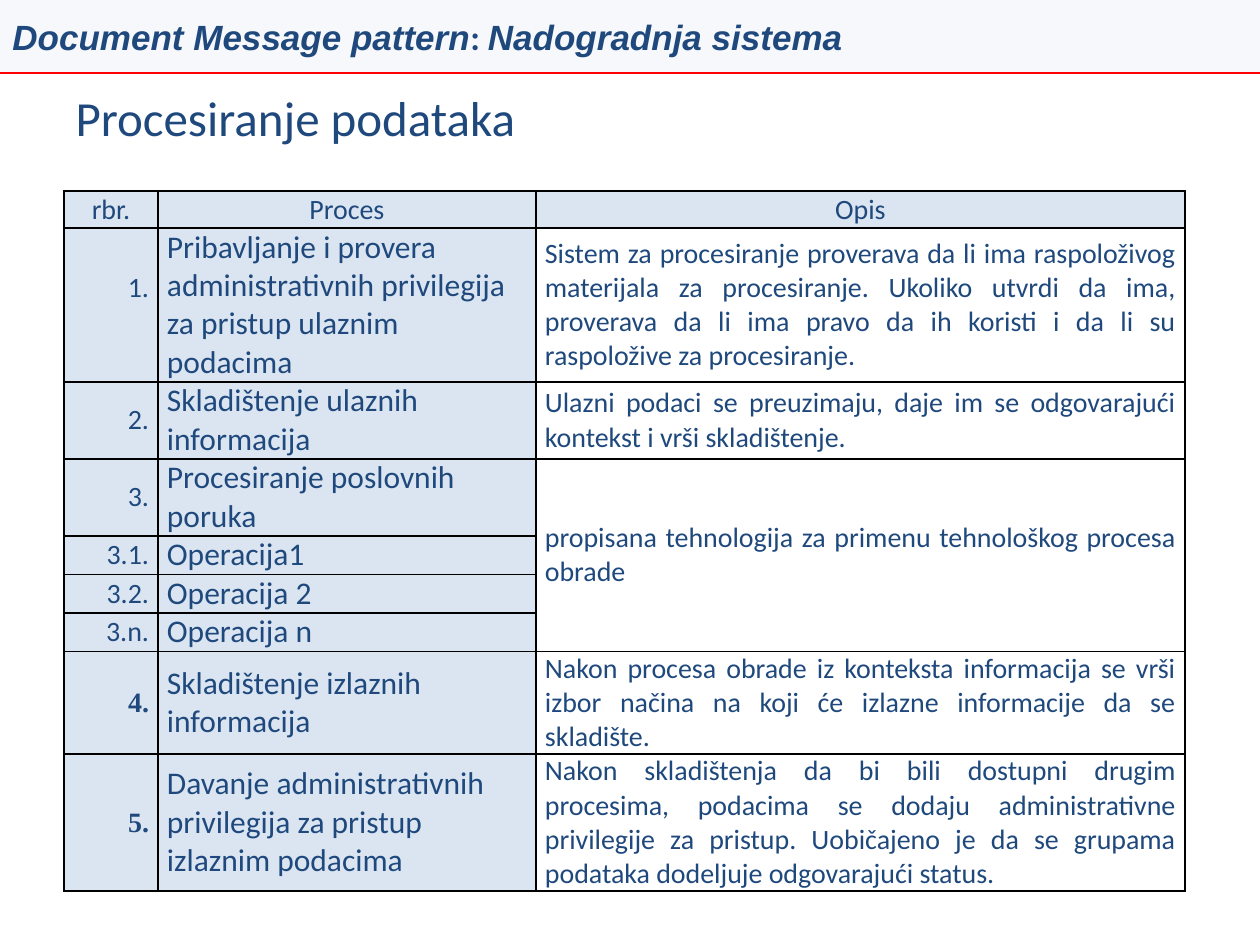
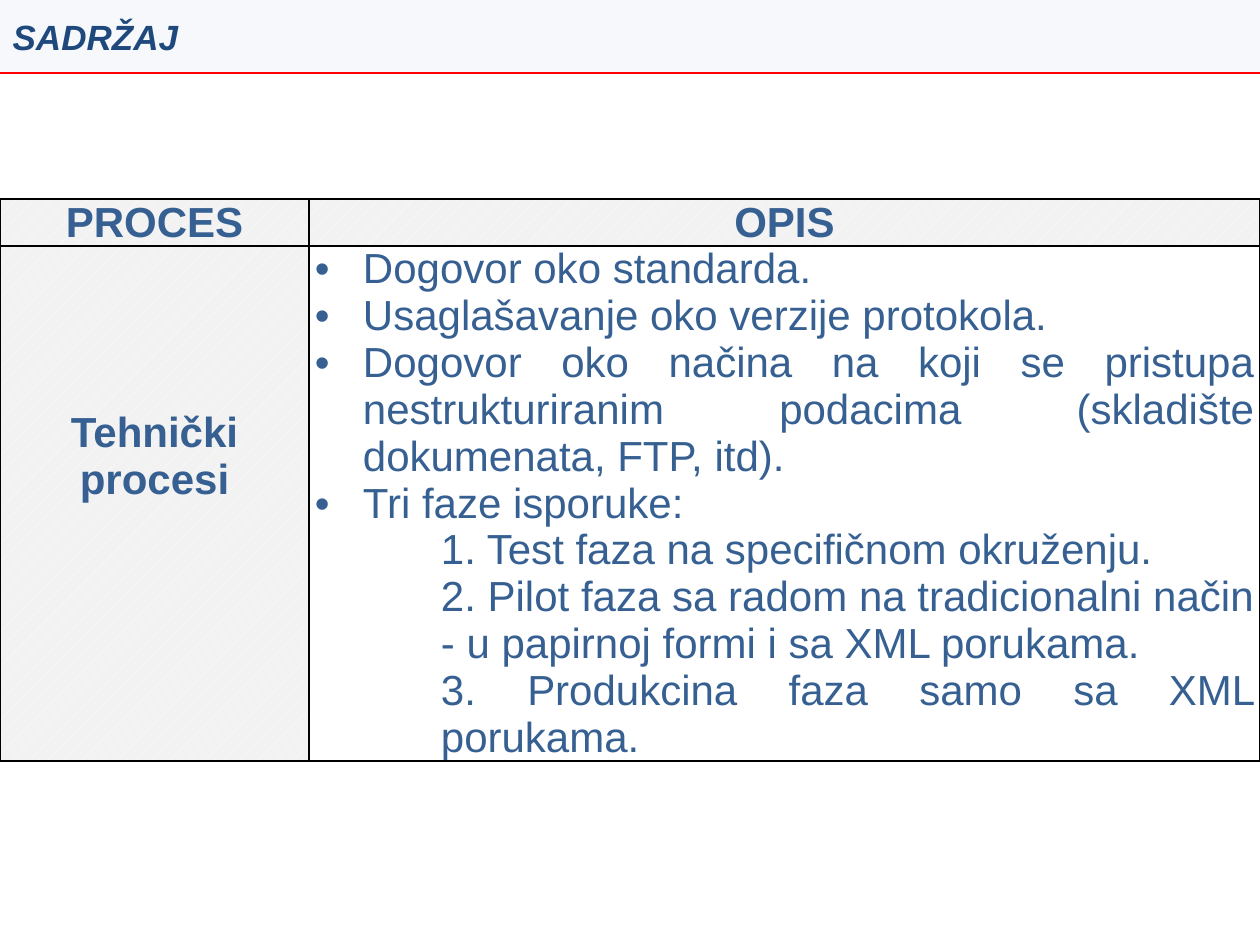
from lxml import etree
from pptx import Presentation
from pptx.dml.color import RGBColor
from pptx.enum.dml import MSO_PATTERN_TYPE
from pptx.enum.shapes import MSO_CONNECTOR, MSO_SHAPE
from pptx.enum.text import MSO_ANCHOR, MSO_AUTO_SIZE, PP_ALIGN
from pptx.oxml.ns import qn
from pptx.util import Emu, Pt

EMU_PER_PX = 914400 / 126
PAGE_WIDTH, PAGE_HEIGHT = 1260, 945
BAND_HEIGHT = 73
TITLE_ONLY = 5

LEFT, CENTER, RIGHT, JUSTIFY = PP_ALIGN.LEFT, PP_ALIGN.CENTER, PP_ALIGN.RIGHT, PP_ALIGN.JUSTIFY
TOP, MIDDLE = MSO_ANCHOR.TOP, MSO_ANCHOR.MIDDLE
DOTS = MSO_PATTERN_TYPE.PERCENT_5

COLORS = {
    "navy": "1F497D",
    "blue": "376092",
    "band": "DCE6F2",
    "rule": "FF0000",
    "label": "DBE5F1",
    "gray": "F2F2F2",
    "white": "FFFFFF",
    "black": "000000",
}
BAND_OPACITY = 25
BAND_TEXT = dict(font="Arial", size=20, color="navy", bold=True, italic=True)

STEP_HEADINGS = ["rbr.", "Proces", "Opis"]
STEPS = [
    ("1.", "Pribavljanje i provera administrativnih privilegija za pristup ulaznim podacima",
     "Sistem za procesiranje proverava da li ima raspoloživog materijala za procesiranje. "
     "Ukoliko utvrdi da ima, proverava da li ima pravo da ih koristi i da li su raspoložive "
     "za procesiranje."),
    ("2.", "Skladištenje ulaznih informacija",
     "Ulazni podaci se preuzimaju, daje im se odgovarajući kontekst i vrši skladištenje."),
    ("3.", "Procesiranje poslovnih poruka",
     "propisana tehnologija za primenu tehnološkog procesa obrade"),
    ("3.1.", "Operacija1", None),
    ("3.2.", "Operacija 2", None),
    ("3.n.", "Operacija n", None),
    ("4.", "Skladištenje izlaznih informacija",
     "Nakon procesa obrade iz konteksta informacija se vrši izbor načina na koji će izlazne "
     "informacije da se skladište."),
    ("5.", "Davanje administrativnih privilegija za pristup izlaznim podacima",
     "Nakon skladištenja da bi bili dostupni drugim procesima, podacima se dodaju "
     "administrativne privilegije za pristup. Uobičajeno je da se grupama podataka "
     "dodeljuje odgovarajući status."),
]
AGREEMENTS = [
    "Dogovor oko standarda.",
    "Usaglašavanje oko verzije protokola.",
    "Dogovor oko načina na koji se pristupa nestrukturiranim podacima "
    "(skladište dokumenata, FTP, itd).",
    "Tri faze isporuke:",
]
PHASES = [
    "1. Test faza na specifičnom okruženju.",
    "2. Pilot faza sa radom na tradicionalni način - u papirnoj formi i sa XML porukama.",
    "3. Produkcina faza samo sa XML porukama.",
]


def px(length):
    return Emu(round(length * EMU_PER_PX))


def rgb(name):
    return RGBColor.from_string(COLORS[name])


def add_text(para, text, font="Calibri", size=16, color="navy", bold=False, italic=False,
             align=LEFT):
    para.alignment = align
    span = para.add_run()
    span.text = text
    span.font.name = font
    span.font.size = Pt(size)
    span.font.color.rgb = rgb(color)
    span.font.bold = bold
    span.font.italic = italic


def write_lines(frame, lines, **text_format):
    """Fill a text frame with one paragraph for each line."""
    paras = [frame.paragraphs[0]] + [frame.add_paragraph() for _ in lines[1:]]
    for para, line in zip(paras, lines):
        add_text(para, line, **text_format)
    return paras


def indent(para, left, bullet=None):
    properties = para._p.get_or_add_pPr()
    properties.set("marL", str(px(left)))
    properties.set("indent", str(-px(left) if bullet else 0))
    if bullet:
        etree.SubElement(properties, qn("a:buFont"), typeface="Arial")
        etree.SubElement(properties, qn("a:buChar"), char=bullet)


def place(box, left, top, width, height):
    box.left, box.top, box.width, box.height = (px(n) for n in (left, top, width, height))
    frame = box.text_frame
    frame.auto_size = MSO_AUTO_SIZE.NONE
    frame.word_wrap = True
    frame.vertical_anchor = MIDDLE


def style_band(page, band):
    """Make the shape the translucent band at the top, with its rule."""
    place(band, 0, 0, PAGE_WIDTH, BAND_HEIGHT)
    band.fill.solid()
    band.fill.fore_color.rgb = rgb("band")
    fill_color = band.fill._xPr.find(qn("a:solidFill"))[0]
    etree.SubElement(fill_color, qn("a:alpha"), val=str(BAND_OPACITY * 1000))
    band.line.fill.background()
    rule = page.shapes.add_connector(
        MSO_CONNECTOR.STRAIGHT, 0, px(BAND_HEIGHT), px(PAGE_WIDTH), px(BAND_HEIGHT))
    rule.line.color.rgb = rgb("rule")
    rule.line.width = Pt(0.75)
    etree.SubElement(rule._element.spPr, qn("a:effectLst"))


def add_borders(cell):
    properties = cell._tc.get_or_add_tcPr()
    for position, side in enumerate(("lnL", "lnR", "lnT", "lnB")):
        border = etree.Element(qn(f"a:{side}"), w=str(Pt(1)))
        fill = etree.SubElement(border, qn("a:solidFill"))
        etree.SubElement(fill, qn("a:srgbClr"), val=COLORS["black"])
        properties.insert(position, border)


def add_grid(page, left, top, widths, heights, inset):
    """Add a table with black borders and no fills."""
    frame = page.shapes.add_table(len(heights), len(widths), px(left), px(top),
                                  px(sum(widths)), px(sum(heights)))
    table = frame.table
    table.first_row = table.horz_banding = False
    for column, width in zip(table.columns, widths):
        column.width = px(width)
    for row, height in zip(table.rows, heights):
        row.height = px(height)
    for cell in table.iter_cells():
        cell.margin_left = cell.margin_right = px(inset)
        cell.margin_top = cell.margin_bottom = 0
        cell.vertical_anchor = MIDDLE
        cell.fill.background()
        add_borders(cell)
    return table


def fill_label(cell):
    cell.fill.solid()
    cell.fill.fore_color.rgb = rgb("label")


def fill_dotted(cell):
    cell.fill.patterned()
    cell.fill.pattern = DOTS
    cell.fill.fore_color.rgb = rgb("white")
    cell.fill.back_color.rgb = rgb("gray")


def build_processing(page):
    title = page.shapes.title
    place(title, 63, 38, 1134, 157)
    add_text(title.text_frame.paragraphs[0], "Procesiranje podataka", size=28)

    table = add_grid(page, 64, 191, [94, 378, 649],
                     [37, 154, 77, 77, 38, 38, 38, 102, 137], inset=9)
    for column, heading in enumerate(STEP_HEADINGS):
        cell = table.cell(0, column)
        fill_label(cell)
        write_lines(cell.text_frame, [heading], align=CENTER)
    for row, (number, process, description) in enumerate(STEPS, start=1):
        number_cell, process_cell, description_cell = (table.cell(row, n) for n in range(3))
        fill_label(number_cell)
        fill_label(process_cell)
        emphasis = dict(font="Times New Roman", bold=True) if number in ("4.", "5.") else {}
        write_lines(number_cell.text_frame, [number], align=RIGHT, **emphasis)
        write_lines(process_cell.text_frame, [process], size=18)
        if description:
            write_lines(description_cell.text_frame, [description], align=JUSTIFY)
    table.cell(1, 0).margin_bottom = px(34)
    table.cell(3, 2).merge(table.cell(6, 2))

    band = page.shapes.add_shape(MSO_SHAPE.RECTANGLE, 0, 0, px(PAGE_WIDTH), px(BAND_HEIGHT))
    band.shadow.inherit = False
    style_band(page, band)
    para = band.text_frame.paragraphs[0]
    add_text(para, "Document Message pattern", **BAND_TEXT)
    add_text(para, ": ", **{**BAND_TEXT, "font": "Calibri", "italic": False})
    add_text(para, "Nadogradnja sistema", **BAND_TEXT)


def build_contents(page):
    table = add_grid(page, 0, 199, [309, 951], [47, 515], inset=6)
    text_format = dict(font="Arial", size=24, color="blue")
    headings = {(0, 0): ["PROCES"], (0, 1): ["OPIS"], (1, 0): ["Tehnički", "procesi"]}
    for (row, column), lines in headings.items():
        cell = table.cell(row, column)
        fill_dotted(cell)
        write_lines(cell.text_frame, lines, bold=True, align=CENTER, **text_format)
    table.cell(1, 0).margin_bottom = px(94)

    details = table.cell(1, 1)
    details.vertical_anchor = TOP
    paras = write_lines(details.text_frame, AGREEMENTS + PHASES, align=JUSTIFY, **text_format)
    for para in paras[:len(AGREEMENTS)]:
        indent(para, 48, bullet="•")
    for para in paras[len(AGREEMENTS):]:
        para.level = 2
        indent(para, 126)

    title = page.shapes.title
    style_band(page, title)
    add_text(title.text_frame.paragraphs[0], "SADRŽAJ", **BAND_TEXT)


def main():
    deck = Presentation()
    deck.slide_width, deck.slide_height = px(PAGE_WIDTH), px(PAGE_HEIGHT)
    for build in (build_processing, build_contents):
        build(deck.slides.add_slide(deck.slide_layouts[TITLE_ONLY]))
    deck.save("out.pptx")


if __name__ == "__main__":
    main()
